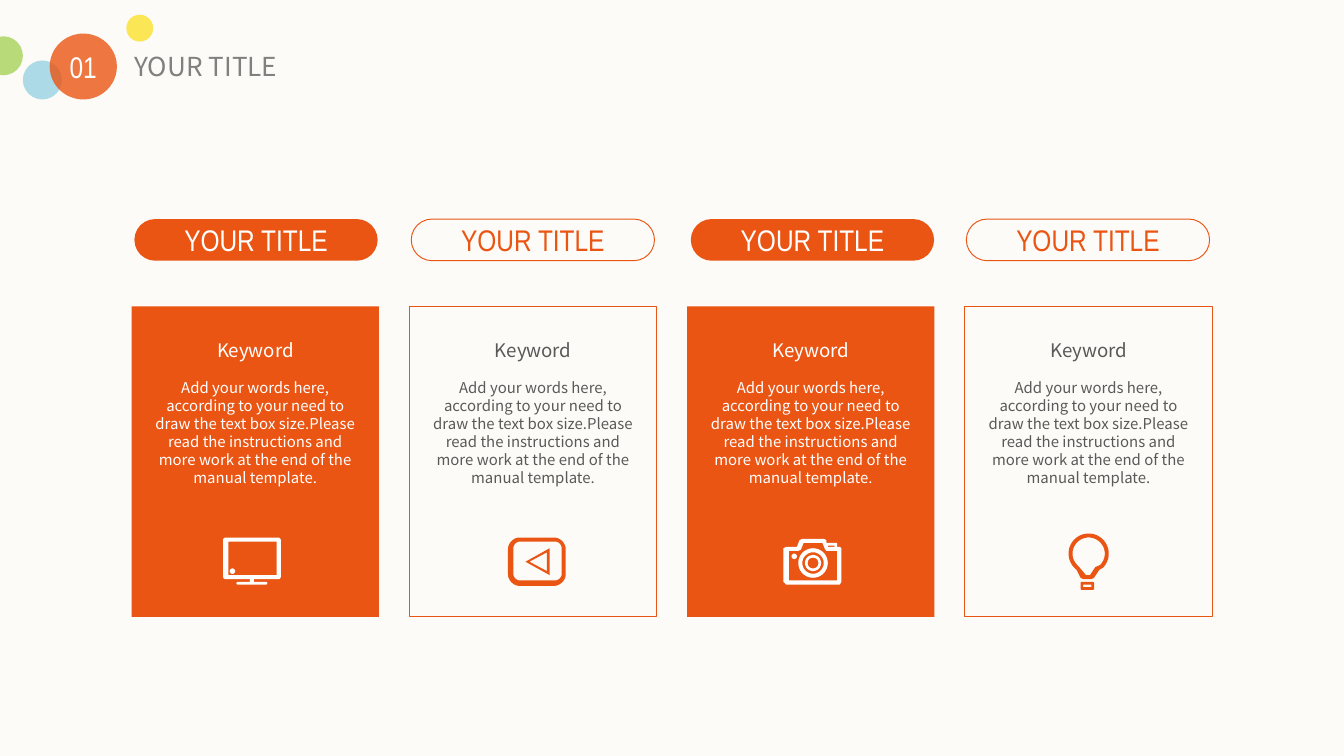
import dataclasses
import math
import typing

import lxml.etree
import pptx
import pptx.dml.color
import pptx.enum.shapes
import pptx.enum.text
import pptx.oxml.ns
import pptx.util

Inches = pptx.util.Inches
RGBColor = pptx.dml.color.RGBColor
Kind = pptx.enum.shapes.MSO_SHAPE
Align = pptx.enum.text.PP_ALIGN
Anchor = pptx.enum.text.MSO_ANCHOR

ORANGE = RGBColor(0xEA, 0x55, 0x14)
CREAM = RGBColor(0xFC, 0xFB, 0xF7)
WHITE = RGBColor(0xFF, 0xFF, 0xFF)
DARK_GRAY = RGBColor(0x59, 0x59, 0x59)
GRAY = RGBColor(0x80, 0x80, 0x80)
YELLOW = RGBColor(0xFB, 0xE2, 0x2D)
GREEN = RGBColor(0xA9, 0xD2, 0x5A)
BLUE = RGBColor(0x98, 0xD2, 0xE3)

NARROW = "Arial Narrow"
SANS = "Noto Sans CJK SC"
UNITS = 1000
CARD_LEFT = 0.98
CARD_PITCH = 6.2 / 3

Point = tuple[float, float]
Contour = list[Point]


@dataclasses.dataclass(frozen=True)
class Bubble:
    left: float
    top: float
    width: float
    height: float
    color: RGBColor


@dataclasses.dataclass(frozen=True)
class Card:
    pill_left: float
    filled: bool
    icon: list[Contour]


def arc(x: float, y: float, radius: float, start: float = 0, sweep: float = 360) -> Contour:
    steps = max(4, round(sweep / 10))
    angles = [math.radians(start + sweep * step / steps) for step in range(steps + 1)]
    return [(x + radius * math.cos(angle), y + radius * math.sin(angle)) for angle in angles]


def rounded(left: float, top: float, right: float, bottom: float, radius: float = 0.01) -> Contour:
    near, far = left + radius, right - radius
    high, low = top + radius, bottom - radius
    corners = [(far, low), (near, low), (near, high), (far, high)]
    return [point for index, (x, y) in enumerate(corners)
            for point in arc(x, y, radius, 90 * index, 90)]


def block(left: float, top: float, right: float, bottom: float) -> Contour:
    return [(left, top), (right, top), (right, bottom), (left, bottom)]


MONITOR = [
    rounded(1.66, 4, 2.09, 4.31, 0.02), block(1.7, 4.03, 2.06, 4.28),
    arc(1.73, 4.25, 0.02), block(1.86, 4.31, 1.89, 4.33), rounded(1.76, 4.33, 1.99, 4.35),
]
PLAYER = [
    rounded(3.78, 4, 4.21, 4.36, 0.09), rounded(3.82, 4.03, 4.18, 4.32, 0.05),
    [(4.09, 4.08), (3.91, 4.18), (4.09, 4.28)], [(4.07, 4.11), (3.94, 4.18), (4.07, 4.25)],
]
CAMERA = [
    [(5.83, 4.08), (5.85, 4.07), (5.93, 4.07), (5.95, 4.02), (5.97, 4.01), (6.13, 4.01),
     (6.15, 4.02), (6.15, 4.04), (6.23, 4.04), (6.23, 4.07), (6.25, 4.07), (6.26, 4.08),
     (6.26, 4.33), (6.25, 4.35), (5.85, 4.35), (5.83, 4.33)],
    [(5.87, 4.1), (5.94, 4.1), (5.96, 4.09), (5.98, 4.04), (6.12, 4.04), (6.14, 4.09),
     (6.15, 4.1), (6.23, 4.1), (6.23, 4.32), (5.87, 4.32)],
    block(6.16, 4.06, 6.21, 4.07), arc(5.91, 4.14, 0.02),
    *[arc(6.05, 4.19, radius) for radius in (0.11, 0.08, 0.06, 0.04)],
]
BULB = [
    arc(8.1, 4.12, 0.15, 135, 270)
    + [(8.18, 4.24), (8.14, 4.3), (8.12, 4.31), (8.06, 4.31), (8.04, 4.3), (8.01, 4.24)],
    arc(8.1, 4.12, 0.12, 135, 270)
    + [(8.15, 4.22), (8.11, 4.28), (8.08, 4.28), (8.03, 4.22)],
    rounded(8.04, 4.33, 8.14, 4.39), block(8.06, 4.35, 8.12, 4.37),
]

CARDS = [
    Card(1, True, MONITOR), Card(3.06, False, PLAYER),
    Card(5.14, True, CAMERA), Card(7.19, False, BULB),
]
BUBBLES = [
    Bubble(0.94, 0.11, 0.2, 0.2, YELLOW), Bubble(-0.12, 0.27, 0.29, 0.29, GREEN),
    Bubble(0.17, 0.45, 0.29, 0.29, BLUE), Bubble(0.37, 0.25, 0.5, 0.49, ORANGE),
]


def write(para: typing.Any, text: str, *, size: float, color: RGBColor, font: str = SANS,
          align: Align = Align.CENTER, before: float = 0, spacing: float | None = None) -> None:
    para.alignment = align
    para.space_before = pptx.util.Pt(before)
    if spacing:
        para.line_spacing = pptx.util.Pt(spacing)
    span = para.add_run()
    span.text = text
    span.font.size = pptx.util.Pt(size)
    span.font.name = font
    span.font.color.rgb = color


def clear_insets(frame: typing.Any) -> None:
    frame.margin_left = frame.margin_right = frame.margin_top = frame.margin_bottom = 0
    frame.word_wrap = True
    frame.vertical_anchor = Anchor.TOP


def add_box(page: typing.Any, left: float, top: float, width: float, height: float) -> typing.Any:
    box = page.shapes.add_textbox(Inches(left), Inches(top), Inches(width), Inches(height))
    clear_insets(box.text_frame)
    return box.text_frame


def paint(shape: typing.Any, color: RGBColor, outline: RGBColor | None = None) -> None:
    shape.shadow.inherit = False
    shape.fill.solid()
    shape.fill.fore_color.rgb = color
    if outline is None:
        shape.line.fill.background()
    else:
        shape.line.color.rgb = outline
        shape.line.width = pptx.util.Pt(0.5)


def add_shape(page: typing.Any, kind: Kind, left: float, top: float, width: float, height: float,
              color: RGBColor, outline: RGBColor | None = None) -> typing.Any:
    shape = page.shapes.add_shape(kind, Inches(left), Inches(top), Inches(width), Inches(height))
    paint(shape, color, outline)
    return shape


def add_icon(page: typing.Any, contours: list[Contour], color: RGBColor) -> None:
    scaled = [[(x * UNITS, y * UNITS) for x, y in contour] for contour in contours]
    builder = page.shapes.build_freeform(*scaled[0][0], scale=Inches(1) / UNITS)
    builder.add_line_segments(scaled[0][1:], close=True)
    for contour in scaled[1:]:
        builder.move_to(*contour[0])
        builder.add_line_segments(contour[1:], close=True)
    paint(builder.convert_to_shape(), color)


def add_bubble(page: typing.Any, bubble: Bubble) -> None:
    shape = add_shape(page, Kind.OVAL, bubble.left, bubble.top, bubble.width, bubble.height,
                      bubble.color)
    qualify = pptx.oxml.ns.qn
    tint = shape.fill._xPr.find(qualify("a:solidFill")).find(qualify("a:srgbClr"))
    lxml.etree.SubElement(tint, qualify("a:alpha"), val="80000")


def add_card(page: typing.Any, left: float, card: Card) -> None:
    fill, outline = (ORANGE, None) if card.filled else (CREAM, ORANGE)
    accent, ink = (WHITE, WHITE) if card.filled else (ORANGE, DARK_GRAY)
    add_shape(page, Kind.RECTANGLE, left, 2.28, 1.84, 2.31, fill, outline)
    frame = add_box(page, left + 0.13, 2.52, 1.58, 1.25)
    write(frame.paragraphs[0], "Keyword", size=10, color=ink, spacing=12.2)
    write(frame.add_paragraph(), "Add your words here,", size=8, color=ink,
          before=9, spacing=9.64)
    write(frame.add_paragraph(),
          "according to your need to draw the text box size.Please read the instructions "
          "and more work at the end of the manual template.",
          size=8, color=ink, spacing=9.64)
    add_icon(page, card.icon, accent)
    pill = add_shape(page, Kind.ROUNDED_RECTANGLE, card.pill_left, 1.63, 1.81, 0.31, fill, outline)
    pill.adjustments[0] = 0.5
    pill.text_frame.vertical_anchor = Anchor.MIDDLE
    write(pill.text_frame.paragraphs[0], "YOUR TITLE", size=16, color=accent, font=NARROW)


def main() -> None:
    deck = pptx.Presentation()
    deck.slide_width = Inches(10)
    deck.slide_height = Inches(10) * 9 // 16
    page = deck.slides.add_slide(deck.slide_layouts[5])
    page.background.fill.solid()
    page.background.fill.fore_color.rgb = CREAM
    title = page.shapes.title
    title.left, title.top, title.width, title.height = map(Inches, (1, 0.38, 3.04, 0.24))
    clear_insets(title.text_frame)
    title.text_frame.auto_size = pptx.enum.text.MSO_AUTO_SIZE.NONE
    write(title.text_frame.paragraphs[0], "YOUR TITLE", size=14, color=GRAY,
          align=Align.LEFT, spacing=16.4)
    for index, card in enumerate(CARDS):
        add_card(page, CARD_LEFT + index * CARD_PITCH, card)
    for bubble in BUBBLES:
        add_bubble(page, bubble)
    number = add_box(page, 0.44, 0.36, 0.36, 0.27)
    write(number.paragraphs[0], "01", size=16, color=WHITE, font=NARROW)
    deck.save("out.pptx")


if __name__ == "__main__":
    main()
